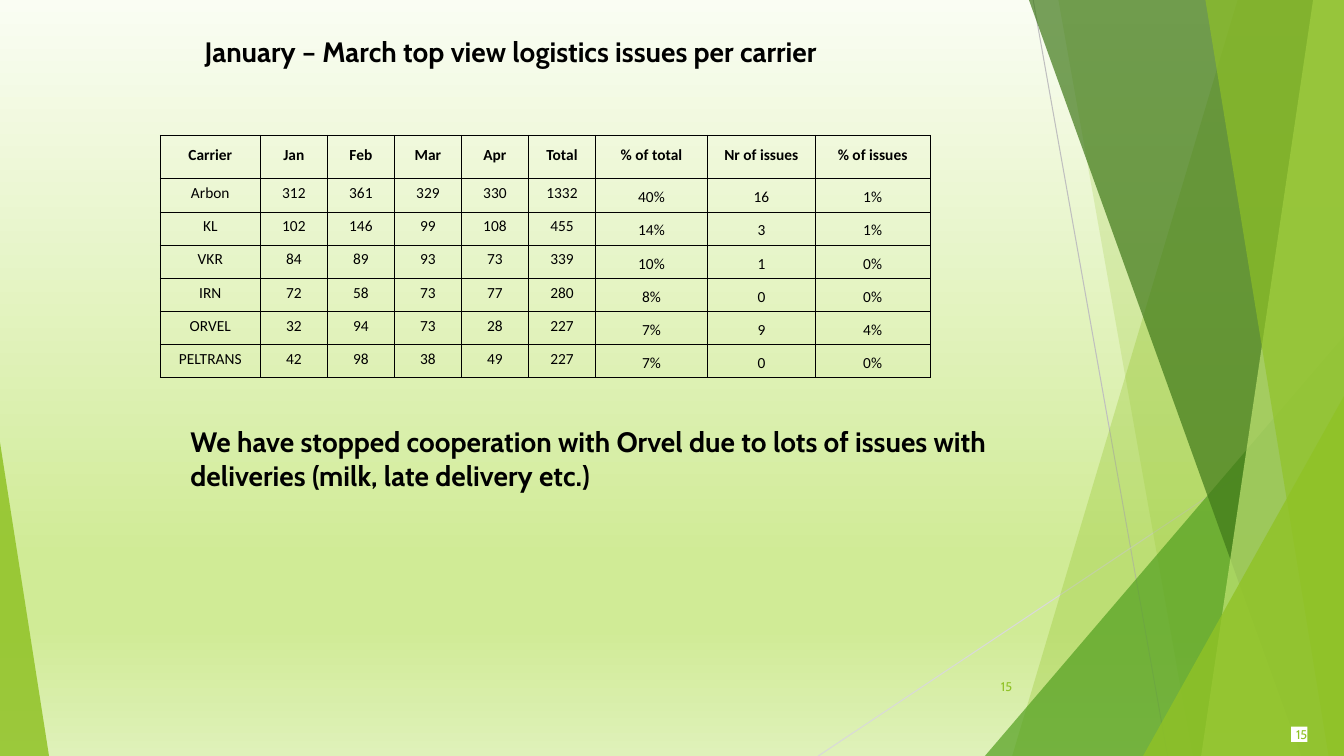
from copy import deepcopy

from lxml import etree
from pptx import Presentation
from pptx.dml.color import RGBColor
from pptx.enum import shapes, text
from pptx.oxml import ns
from pptx.util import Pt

WIDE, HIGH = 960, 540
BLACK, WHITE, LIME = "000000", "FFFFFF", "90C226"
LEFT, MID, RIGHT = text.PP_ALIGN.LEFT, text.PP_ALIGN.CENTER, text.PP_ALIGN.RIGHT
TOP, HALF, BASE = text.MSO_ANCHOR.TOP, text.MSO_ANCHOR.MIDDLE, text.MSO_ANCHOR.BOTTOM


def color(code):
    return RGBColor.from_string(code)


def child(node, tag, **attrs):
    return etree.SubElement(node, ns.qn(tag), attrs)


class Deck:
    """Holds the text style and the current slide."""

    def __init__(self, font):
        self.font = font
        self.file = Presentation()
        self.file.slide_width, self.file.slide_height = Pt(WIDE), Pt(HIGH)
        self.slide = self.file.slides.add_slide(self.file.slide_layouts[5])
        self.items = self.slide.shapes

    def back(self, stops):
        fill = self.slide.background.fill
        fill.gradient()
        fill.gradient_angle = 270
        marks = next(self.slide.element.iter(ns.qn("a:gsLst")))
        while len(marks) < len(stops):
            marks.append(deepcopy(marks[0]))
        for mark, (place, code) in zip(fill.gradient_stops, stops):
            mark.position = place
            mark.color.rgb = color(code)

    def paint(self, shape, code, alpha=100):
        shape.shadow.inherit = False
        shape.line.fill.background()
        shape.fill.solid()
        shape.fill.fore_color.rgb = color(code)
        if alpha < 100:
            tint = next(shape.element.spPr.iter(ns.qn("a:srgbClr")))
            child(tint, "a:alpha", val=str(alpha * 1000))

    def line(self, x1, y1, x2, y2, code):
        line = self.items.add_connector(
            shapes.MSO_CONNECTOR.STRAIGHT, Pt(x1), Pt(y1), Pt(x2), Pt(y2))
        line.line.color.rgb = color(code)
        line.line.width = Pt(0.75)
        child(line.element.spPr, "a:effectLst")

    def band(self, top, low, code, alpha):
        """Fill from a slanted edge to the right side of the slide."""
        pen = self.items.build_freeform(Pt(top), 0)
        pen.add_line_segments(
            [(Pt(x), Pt(y)) for x, y in ((WIDE, 0), (WIDE, HIGH), (low, HIGH))])
        self.paint(pen.convert_to_shape(), code, alpha)

    def peak(self, x, width, height, tip, code, alpha):
        """Triangle that stands on the bottom edge."""
        peak = self.items.add_shape(
            shapes.MSO_SHAPE.ISOSCELES_TRIANGLE,
            Pt(x), Pt(HIGH - height), Pt(width), Pt(height))
        peak.adjustments[0] = tip
        self.paint(peak, code, alpha)

    def label(self, frame, words, size, code, bold=False, align=LEFT, font=None):
        para = frame.paragraphs[0]
        para.alignment = align
        run = para.add_run()
        run.text = words
        run.font.name = font or self.font
        run.font.size = Pt(size)
        run.font.bold = bold
        run.font.color.rgb = color(code)

    def title(self, x, y, width, height, words):
        head = self.items.title
        head.left, head.top, head.width, head.height = map(Pt, (x, y, width, height))
        frame = head.text_frame
        frame.auto_size = text.MSO_AUTO_SIZE.NONE
        frame.vertical_anchor = TOP
        self.label(frame, words, 20, BLACK, True)

    def note(self, x, y, width, height, words, size, code, bold=False,
             align=LEFT, anchor=TOP):
        frame = self.items.add_textbox(*map(Pt, (x, y, width, height))).text_frame
        frame.word_wrap = True
        frame.vertical_anchor = anchor
        self.label(frame, words, size, code, bold, align)

    def badge(self, x, y, width, height, words):
        tag = self.items.add_shape(
            shapes.MSO_SHAPE.ROUNDED_RECTANGLE, *map(Pt, (x, y, width, height)))
        tag.adjustments[0] = 0
        self.paint(tag, WHITE)
        frame = tag.text_frame
        frame.margin_left = frame.margin_right = 0
        frame.margin_top = frame.margin_bottom = 0
        frame.word_wrap = False
        frame.vertical_anchor = HALF
        self.label(frame, words, 9, LIME, align=RIGHT)

    def cell(self, cell, words, bold, anchor):
        cell.margin_left = cell.margin_right = cell.margin_top = Pt(0.7)
        cell.margin_bottom = Pt(3.6)
        cell.vertical_anchor = anchor
        props = cell._tc.get_or_add_tcPr()
        for side in "LRTB":
            edge = child(props, "a:ln" + side, w=str(Pt(0.5)))
            child(child(edge, "a:solidFill"), "a:srgbClr", val=BLACK)
        cell.fill.background()
        self.label(cell.text_frame, words, 11, BLACK, bold, MID, "Calibri")

    def table(self, x, y, rows, wides, highs):
        grid = self.items.add_table(
            len(rows), len(wides), Pt(x), Pt(y), Pt(sum(wides)), Pt(sum(highs))).table
        grid.first_row = grid.horz_banding = False
        for col, wide in zip(grid.columns, wides):
            col.width = Pt(wide)
        for r, (row, high) in enumerate(zip(rows, highs)):
            grid.rows[r].height = Pt(high)
            for c, words in enumerate(row):
                low = r > 0 and c > 5
                self.cell(grid.cell(r, c), words, r == 0, BASE if low else HALF)


def main():
    deck = Deck("Cabin")

    # Background and facets
    deck.back([(0, "FAFDF3"), (0.74, "D0EB96"), (0.83, "D0EB96"), (1, "DFF1B9")])
    deck.line(738, 0, 834, HIGH, "BFBFBF")
    deck.line(WIDE, 290, 584.5, HIGH, "D9D9D9")
    deck.band(884, 723, LIME, 30)
    deck.band(756, 852, LIME, 20)
    deck.peak(703.5, 256.5, 300, 1, "54A021", 72)
    deck.band(735, 929.5, "3F7819", 70)
    deck.band(938, 858, "C0E474", 70)
    deck.band(861, 949, LIME, 65)
    deck.peak(816.5, 143.5, 257, 1, LIME, 80)
    deck.peak(0, 35, 224, 0, LIME, 85)

    # Page numbers
    deck.badge(922.3, 519, 11.5, 11, "15")
    deck.note(676, 476, 54, 29, "15", 9, LIME, align=RIGHT, anchor=HALF)

    # Title and conclusion
    deck.title(139, 21, 518, 32, "January – March top view logistics issues per carrier")
    deck.note(129, 300, 584, 55.5,
              "We have stopped cooperation with Orvel due to lots of issues "
              "with deliveries (milk, late delivery etc.)", 20, BLACK, True)

    # Carrier table
    rows = [
        ("Carrier", "Jan", "Feb", "Mar", "Apr", "Total",
         "% of total", "Nr of issues", "% of issues"),
        ("Arbon", "312", "361", "329", "330", "1332", "40%", "16", "1%"),
        ("KL", "102", "146", "99", "108", "455", "14%", "3", "1%"),
        ("VKR", "84", "89", "93", "73", "339", "10%", "1", "0%"),
        ("IRN", "72", "58", "73", "77", "280", "8%", "0", "0%"),
        ("ORVEL", "32", "94", "73", "28", "227", "7%", "9", "4%"),
        ("PELTRANS", "42", "98", "38", "49", "227", "7%", "0", "0%"),
    ]
    deck.table(114.5, 96.5, rows, [71.5] + [47.9] * 5 + [80, 77, 82],
               [31.2] + [23.7] * 6)

    deck.file.save("out.pptx")


if __name__ == "__main__":
    main()
